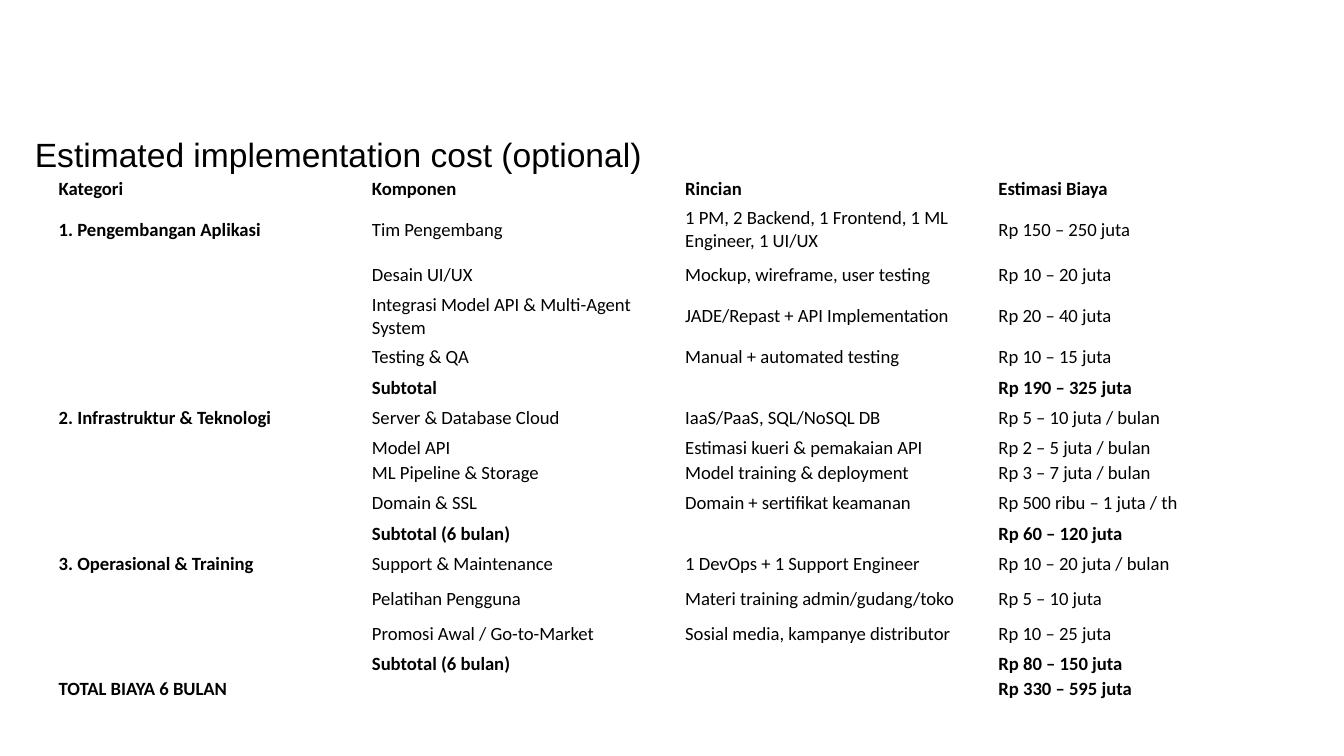
from pptx import Presentation
from pptx import util as u
from pptx.dml.color import RGBColor
from pptx.enum import text

BLACK = RGBColor(0, 0, 0)
TITLE = "Estimated implementation cost (optional)"
SHORT, MEDIUM, TALL, TALLEST = 0.48, 0.66, 0.86, 1.07
COL_W = 5.92

ROWS = [
    (SHORT, "Kategori", "Komponen", "Rincian", "Estimasi Biaya"),
    (TALLEST, "1. Pengembangan Aplikasi", "Tim Pengembang",
     "1 PM, 2 Backend, 1 Frontend, 1 ML Engineer, 1 UI/UX", "Rp 150 – 250 juta"),
    (MEDIUM, "", "Desain UI/UX", "Mockup, wireframe, user testing", "Rp 10 – 20 juta"),
    (TALL, "", "Integrasi Model API & Multi-Agent System",
     "JADE/Repast + API Implementation", "Rp 20 – 40 juta"),
    (MEDIUM, "", "Testing & QA", "Manual + automated testing", "Rp 10 – 15 juta"),
    (SHORT, "", "Subtotal", "", "Rp 190 – 325 juta"),
    (MEDIUM, "2. Infrastruktur & Teknologi", "Server & Database Cloud",
     "IaaS/PaaS, SQL/NoSQL DB", "Rp 5 – 10 juta / bulan"),
    (SHORT, "", "Model API", "Estimasi kueri & pemakaian API", "Rp 2 – 5 juta / bulan"),
    (SHORT, "", "ML Pipeline & Storage", "Model training & deployment", "Rp 3 – 7 juta / bulan"),
    (MEDIUM, "", "Domain & SSL", "Domain + sertifikat keamanan", "Rp 500 ribu – 1 juta / th"),
    (SHORT, "", "Subtotal (6 bulan)", "", "Rp 60 – 120 juta"),
    (MEDIUM, "3. Operasional & Training", "Support & Maintenance",
     "1 DevOps + 1 Support Engineer", "Rp 10 – 20 juta / bulan"),
    (MEDIUM, "", "Pelatihan Pengguna", "Materi training admin/gudang/toko", "Rp 5 – 10 juta"),
    (MEDIUM, "", "Promosi Awal / Go-to-Market",
     "Sosial media, kampanye distributor", "Rp 10 – 25 juta"),
    (SHORT, "", "Subtotal (6 bulan)", "", "Rp 80 – 150 juta"),
    (SHORT, "TOTAL BIAYA 6 BULAN", "", "", "Rp 330 – 595 juta"),
]


def write(tf, content, size=10, font="Calibri", bold=False):
    p = tf.paragraphs[0]
    if not content:
        p._p.get_or_add_endParaRPr().set("sz", str(size * 100))
        return
    r = p.add_run()
    r.text = content
    r.font.size = u.Pt(size)
    r.font.name = font
    r.font.bold = bold
    r.font.color.rgb = BLACK


def add_title(s):
    tf = s.shapes.add_textbox(u.Cm(0.66), u.Cm(2.44), u.Cm(11.84), u.Cm(1.57)).text_frame
    tf.word_wrap = True
    tf.margin_left = tf.margin_right = tf.margin_bottom = 0
    tf.margin_top = u.Cm(0.1)
    write(tf, TITLE, size=18, font="Arial")


def add_costs(s):
    height = sum(row[0] for row in ROWS)
    table = s.shapes.add_table(len(ROWS), 4, u.Cm(1.07), u.Cm(3.33),
                               u.Cm(4 * COL_W), u.Cm(height)).table
    table.first_row = table.horz_banding = False
    for col in table.columns:
        col.width = u.Cm(COL_W)
    for i, (row_h, *cells) in enumerate(ROWS):
        table.rows[i].height = u.Cm(row_h)
        summary = i == 0 or not cells[2]
        for j, content in enumerate(cells):
            cell = table.cell(i, j)
            cell.fill.background()
            cell.vertical_anchor = text.MSO_ANCHOR.MIDDLE
            cell.margin_left = cell.margin_right = u.Cm(0.04)
            cell.margin_top = cell.margin_bottom = u.Cm(0.02)
            write(cell.text_frame, content, bold=summary or j == 0)


def main():
    prs = Presentation()
    prs.slide_width, prs.slide_height = u.Cm(25.4), u.Cm(14.29)
    s = prs.slides.add_slide(prs.slide_layouts[6])
    add_title(s)
    add_costs(s)
    prs.save("out.pptx")


if __name__ == "__main__":
    main()
